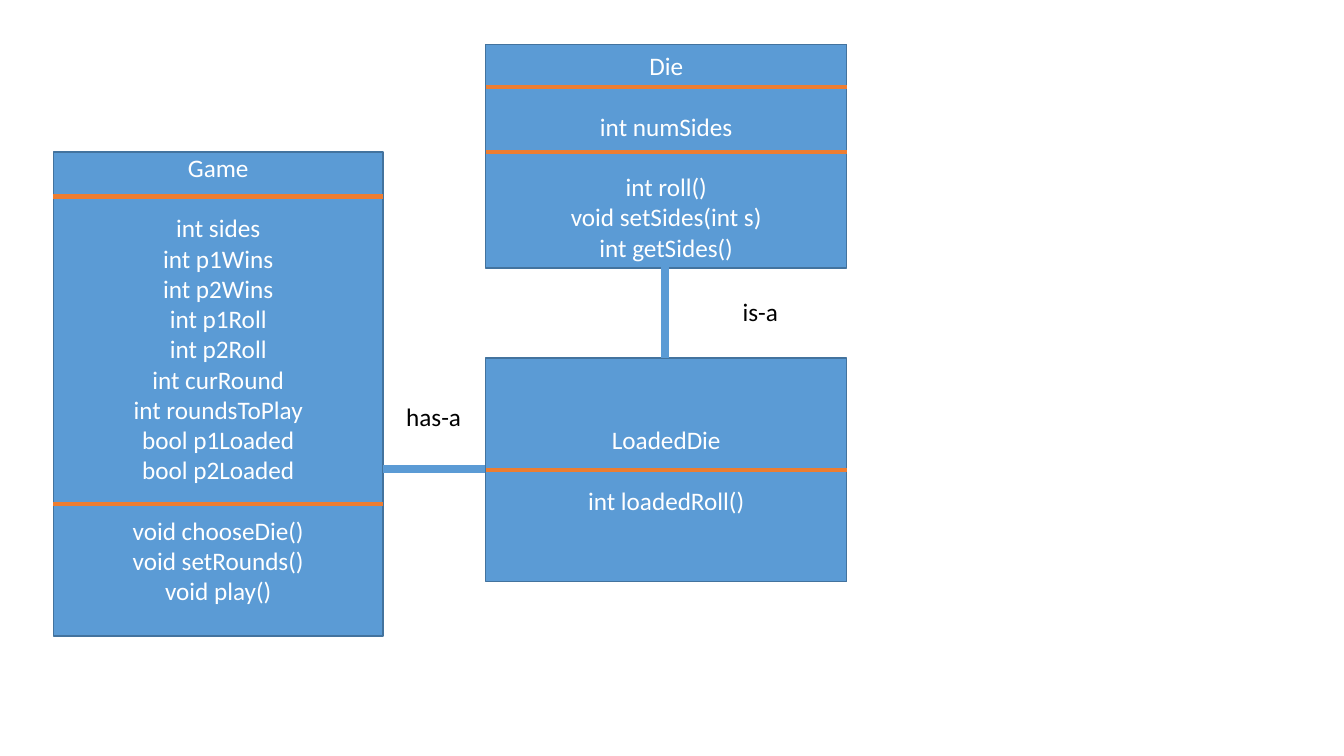
from dataclasses import dataclass
from typing import Any

from lxml import etree
from pptx import Presentation
from pptx import util as u
from pptx.dml import color
from pptx.enum import shapes, text
from pptx.oxml import ns

BLUE, EDGE, ORANGE, WHITE, BLACK = "5B9BD5", "43739E", "ED7D31", "FFFFFF", "000000"
PITCH = 21.6


@dataclass
class Entity:
    left: float
    top: float
    width: float
    height: float
    groups: list[list[str]]
    rules: list[float]
    frame: dict[str, Any]


@dataclass
class Link:
    x1: float
    y1: float
    x2: float
    y2: float


@dataclass
class Label:
    left: float
    top: float
    width: float
    words: str


MIDDLE = {"vertical_anchor": text.MSO_ANCHOR.MIDDLE}
TOP = {
    "vertical_anchor": text.MSO_ANCHOR.TOP,
    "margin_top": u.Pt(0),
    "margin_bottom": u.Pt(PITCH),
}

ENTITIES = [
    Entity(347, 31.7, 257.8, 159.8,
           [["Die"], ["int numSides"],
            ["int roll()", "void setSides(int s)", "int getSides()"]],
           [61.9, 108.7], MIDDLE),
    Entity(347, 255.6, 257.8, 159.8,
           [["LoadedDie"], ["int loadedRoll()"]],
           [335.5], MIDDLE),
    Entity(38.2, 108.7, 235.4, 345.6,
           [["Game"],
            ["int sides", "int p1Wins", "int p2Wins", "int p1Roll", "int p2Roll",
             "int curRound", "int roundsToPlay", "bool p1Loaded", "bool p2Loaded"],
            ["void chooseDie()", "void setRounds()", "void play()"]],
           [140.4, 360], TOP),
]
LINKS = [Link(475.2, 190.8, 475.2, 255.6), Link(273.6, 334.8, 346.3, 334.8)]
LABELS = [Label(523.4, 208.1, 105.8, "is-a"), Label(283, 283, 64.1, "has-a")]


def apply(item: Any, values: dict[str, Any]) -> None:
    for name, value in values.items():
        setattr(item, name, value)


def paint(form: Any, code: str) -> None:
    if hasattr(form, "solid"):
        form.solid()
        form = form.fore_color
    form.rgb = color.RGBColor.from_string(code)


def write(para: Any, words: str, code: str) -> None:
    run = para.add_run()
    run.text = words
    apply(run.font, {"name": "Calibri", "size": u.Pt(18)})
    paint(run.font.color, code)


def draw_line(slide: Any, link: Link, code: str, width: float) -> None:
    ends = [u.Pt(v) for v in (link.x1, link.y1, link.x2, link.y2)]
    line = slide.shapes.add_connector(shapes.MSO_CONNECTOR.STRAIGHT, *ends)
    line.line.width = u.Pt(width)
    paint(line.line.fill, code)
    etree.SubElement(line._element.spPr, ns.qn("a:effectLst"))


def draw_entity(slide: Any, entity: Entity) -> None:
    area = [u.Pt(v) for v in (entity.left, entity.top, entity.width, entity.height)]
    box = slide.shapes.add_shape(shapes.MSO_SHAPE.FLOWCHART_PROCESS, *area)
    box.shadow.inherit = False
    paint(box.fill, BLUE)
    paint(box.line.fill, EDGE)
    box.line.width = u.Pt(1)
    frame = box.text_frame
    apply(frame, {"word_wrap": True, **entity.frame})
    first = True
    for group in entity.groups:
        for index, words in enumerate(group):
            para = frame.paragraphs[0] if first else frame.add_paragraph()
            gap = PITCH if index == 0 and not first else 0
            apply(para, {"alignment": text.PP_ALIGN.CENTER, "space_before": u.Pt(gap)})
            write(para, words, WHITE)
            first = False


def draw_rules(slide: Any, entity: Entity) -> None:
    for y in entity.rules:
        rule = Link(entity.left, y, entity.left + entity.width, y)
        draw_line(slide, rule, ORANGE, 3)


def draw_label(slide: Any, label: Label) -> None:
    area = [u.Pt(v) for v in (label.left, label.top, label.width, 28.8)]
    frame = slide.shapes.add_textbox(*area).text_frame
    apply(frame, {"word_wrap": True, "auto_size": text.MSO_AUTO_SIZE.SHAPE_TO_FIT_TEXT})
    write(frame.paragraphs[0], label.words, BLACK)


def main() -> None:
    deck = Presentation()
    apply(deck, {"slide_width": u.Pt(960), "slide_height": u.Pt(540)})
    slide = deck.slides.add_slide(deck.slide_layouts[6])
    for entity in ENTITIES:
        draw_entity(slide, entity)
    for link in LINKS:
        draw_line(slide, link, BLUE, 6)
    for entity in ENTITIES:
        draw_rules(slide, entity)
    for label in LABELS:
        draw_label(slide, label)
    deck.save("out.pptx")


if __name__ == "__main__":
    main()
